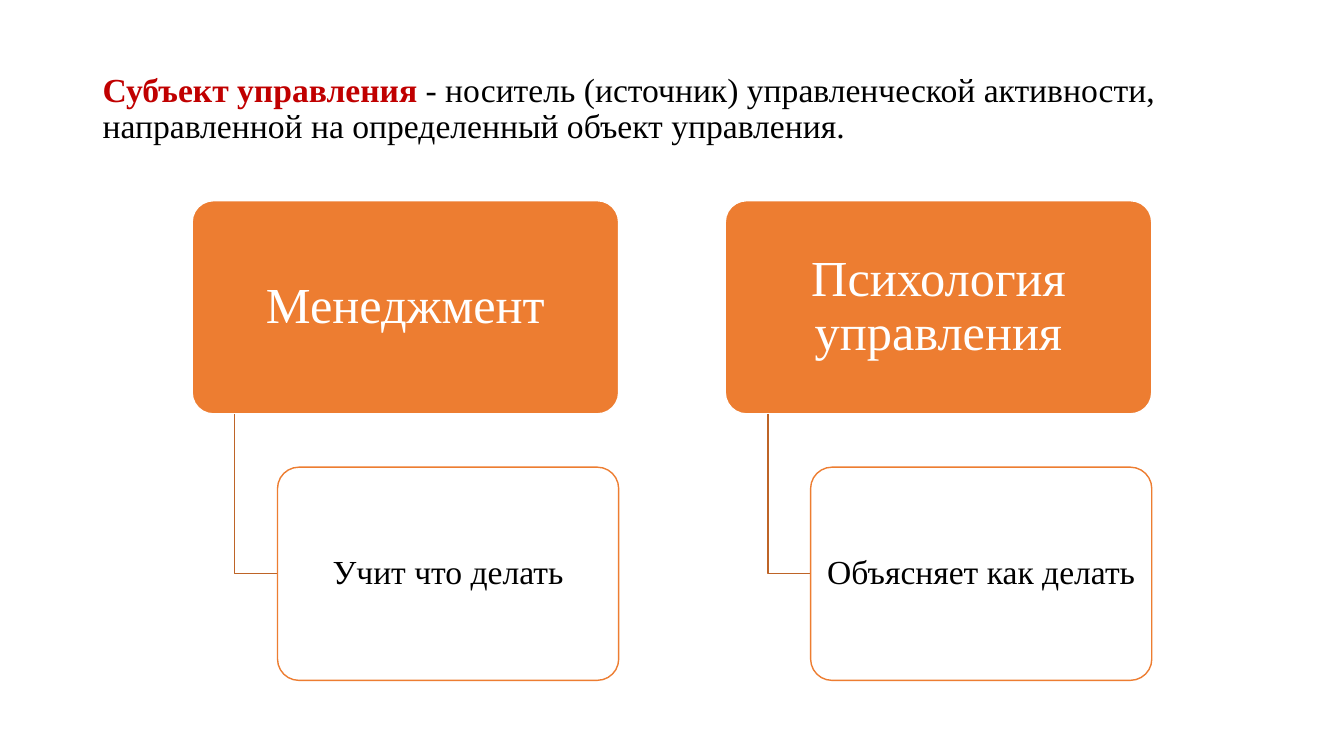
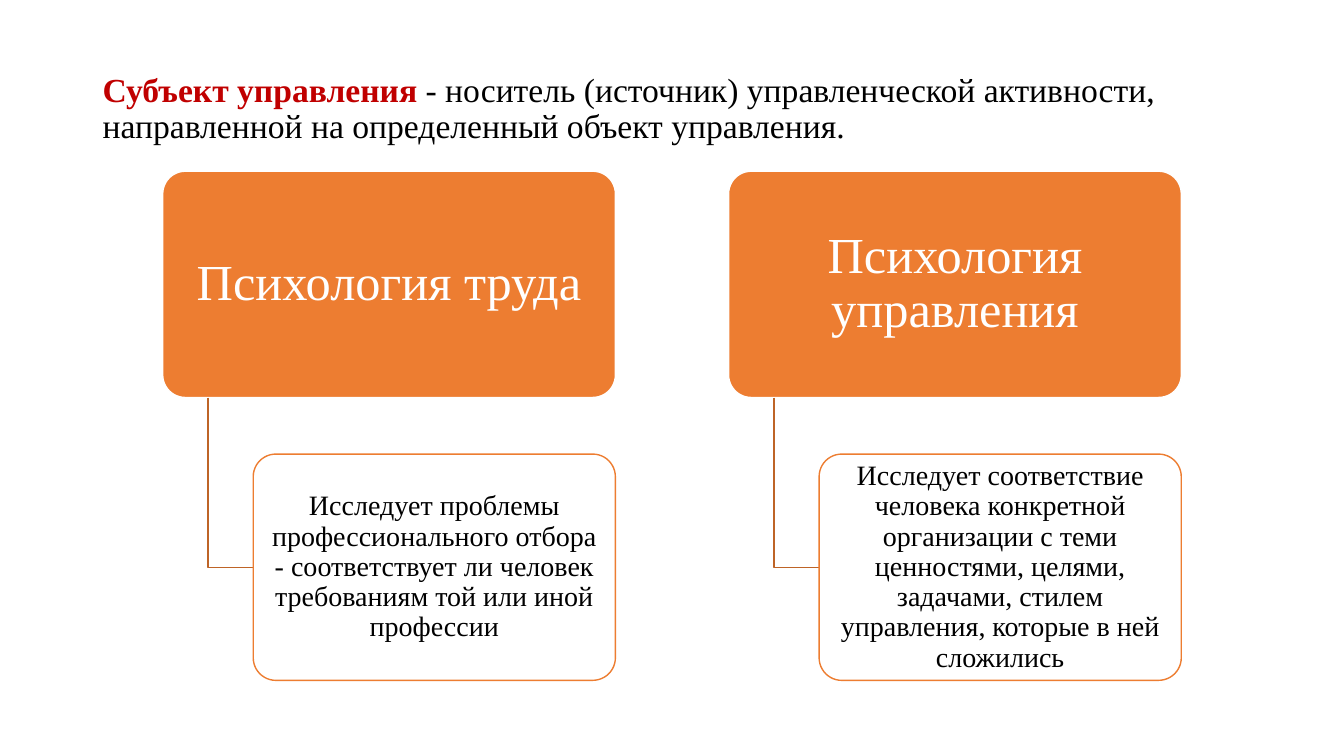
from dataclasses import dataclass

from lxml import etree
from pptx import Presentation
from pptx import util as u
from pptx.dml.color import RGBColor
from pptx.enum import shapes, text
from pptx.oxml.ns import qn


@dataclass(frozen=True)
class Theme:
    font: str = "Times New Roman"
    accent: str = "ED7D31"
    branch: str = "BE6427"
    term: str = "C00000"
    dark: str = "000000"
    light: str = "FFFFFF"
    title_size: int = 24
    head_size: int = 36
    line_spacing: float = 0.9
    line_width: int = 1


THEME = Theme()
WIDTH, HEIGHT = 13.33, 7.5
TREE_BOTTOM = 0.9 * HEIGHT

# Tree proportions, as shares of the head box
HEAD_HEIGHT = 0.5      # of its width
COLUMN_STEP = 1.25     # of its width
BRANCH_INDENT = 0.1    # of its width
CHILD_INDENT = 0.2     # of its width
ROW_STEP = 1.25        # of its height

TERM = "Субъект управления "
DEFINITION = ("- носитель (источник) управленческой активности, "
              "направленной на определенный объект управления.")

# Head width, child text size, then (head, child) for each column
TREES = [
    (4.23, 24, [
        ("Менеджмент", "Учит что делать"),
        ("Психология управления", "Объясняет как делать"),
    ]),
    (4.49, 20, [
        ("Психология труда",
         "Исследует проблемы профессионального отбора - соответствует ли "
         "человек требованиям той или иной профессии"),
        ("Психология управления",
         "Исследует соответствие человека\u00a0конкретной "
         "организации\u00a0с теми ценностями, целями, задачами, стилем "
         "управления, которые в ней сложились"),
    ]),
]


def color(value):
    return RGBColor.from_string(value)


def set_line(shape, value):
    shape.line.color.rgb = color(value)
    shape.line.width = u.Pt(THEME.line_width)


def style_paragraph(paragraph, size, alignment):
    paragraph.alignment = alignment
    paragraph.line_spacing = THEME.line_spacing
    paragraph.font.name = THEME.font
    paragraph.font.size = u.Pt(size)


def add_title(slide):
    box = slide.shapes.add_textbox(
        u.Inches(0.92), u.Inches(0.4), u.Inches(11.5), u.Inches(1.74))
    frame = box.text_frame
    frame.word_wrap = True
    frame.vertical_anchor = text.MSO_ANCHOR.MIDDLE
    frame.margin_bottom = u.Inches(0.42)  # lifts the text by half a line
    paragraph = frame.paragraphs[0]
    style_paragraph(paragraph, THEME.title_size, text.PP_ALIGN.LEFT)
    for words, value, bold in ((TERM, THEME.term, True),
                               (DEFINITION, THEME.dark, False)):
        run = paragraph.add_run()
        run.text = words
        run.font.color.rgb = color(value)
        run.font.bold = bold


def add_box(slide, left, top, width, height, words, size, fill, line, ink):
    box = slide.shapes.add_shape(
        shapes.MSO_SHAPE.ROUNDED_RECTANGLE,
        *map(u.Inches, (left, top, width, height)))
    box.shadow.inherit = False
    box.adjustments[0] = 0.1
    box.fill.solid()
    box.fill.fore_color.rgb = color(fill)
    set_line(box, line)

    # Insets grow with the type size
    frame = box.text_frame
    frame.word_wrap = True
    frame.vertical_anchor = text.MSO_ANCHOR.MIDDLE
    frame.margin_left = frame.margin_right = u.Inches(size / 500)
    frame.margin_top = frame.margin_bottom = u.Inches(size / 750)
    paragraph = frame.paragraphs[0]
    paragraph.text = words
    style_paragraph(paragraph, size, text.PP_ALIGN.CENTER)
    paragraph.font.color.rgb = color(ink)
    return box


def set_opacity(shape, percent):
    fill_color = shape.fill._xPr.find(qn("a:solidFill"))[0]
    etree.SubElement(fill_color, qn("a:alpha"), val=str(percent * 1000))


def add_branch(slide, left, top, right, bottom):
    builder = slide.shapes.build_freeform(
        u.Inches(left), u.Inches(top), scale=1.0)
    builder.add_line_segments(
        [(u.Inches(left), u.Inches(bottom)),
         (u.Inches(right), u.Inches(bottom))], close=False)
    branch = builder.convert_to_shape()
    branch.shadow.inherit = False
    branch.fill.background()
    set_line(branch, THEME.branch)


def add_tree(slide, width, child_size, columns):
    # The tree is centred across the slide and stands on a common bottom line
    height = width * HEAD_HEIGHT
    first_left = (WIDTH - width * (1 + COLUMN_STEP * (len(columns) - 1))) / 2
    top = TREE_BOTTOM - height * (1 + ROW_STEP)
    child_top = top + height * ROW_STEP
    for column, (head, child) in enumerate(columns):
        left = first_left + column * width * COLUMN_STEP
        child_left = left + width * CHILD_INDENT
        add_box(slide, left, top, width, height, head, THEME.head_size,
                THEME.accent, THEME.light, THEME.light)
        add_branch(slide, left + width * BRANCH_INDENT, top + height,
                   child_left, child_top + height / 2)
        child_box = add_box(
            slide, child_left, child_top, width * (1 - CHILD_INDENT), height,
            child, child_size, THEME.light, THEME.accent, THEME.dark)
        set_opacity(child_box, 90)


def main():
    presentation = Presentation()
    presentation.slide_width = u.Inches(WIDTH)
    presentation.slide_height = u.Inches(HEIGHT)
    blank = presentation.slide_layouts[6]
    for width, child_size, columns in TREES:
        slide = presentation.slides.add_slide(blank)
        add_title(slide)
        add_tree(slide, width, child_size, columns)
    presentation.save("out.pptx")


main()
